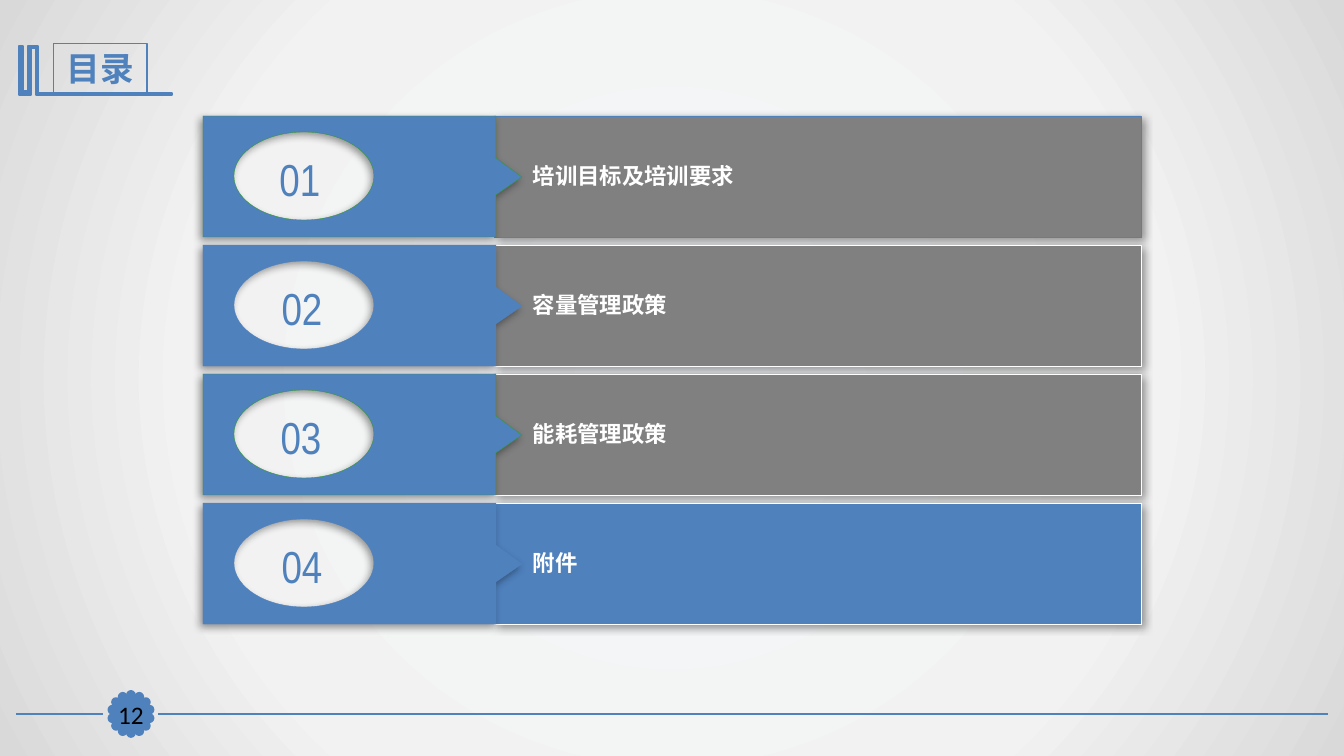
from math import cos, sin, pi

from lxml import etree
from pptx import Presentation
from pptx.dml.color import RGBColor
from pptx.enum.shapes import MSO_CONNECTOR as Conn, MSO_SHAPE as Kind
from pptx.enum.text import MSO_ANCHOR as Anchor, MSO_AUTO_SIZE as Fit, PP_ALIGN as Align
from pptx.oxml import parse_xml
from pptx.oxml.ns import qn
from pptx.util import Emu, Pt

SCALE = 914400 / 100.8
NS = 'xmlns:a="http://schemas.openxmlformats.org/drawingml/2006/main"'
BLUE, GRAY, WHITE, GREEN = "4F81BD", "808080", "FFFFFF", "339933"
TOPICS = [
    ("培训目标及培训要求", GRAY, BLUE, GREEN, 300),
    ("容量管理政策", GRAY, WHITE, BLUE, 302),
    ("能耗管理政策", GRAY, WHITE, GREEN, 301),
    ("附件", BLUE, WHITE, BLUE, 302),
]


def px(*vals):
    return [Emu(round(v * SCALE)) for v in vals]


def rgb(code):
    return RGBColor.from_string(code)


def paint(shape, fill, line, width):
    shape.shadow.inherit = False
    if fill:
        shape.fill.solid()
        shape.fill.fore_color.rgb = rgb(fill)
    else:
        shape.fill.background()
    shape.line.color.rgb = rgb(line)
    shape.line.width = Pt(width)


def shade(shape, angle):
    effects = shape.element.spPr.find(qn("a:effectLst"))
    effects.append(parse_xml(
        f'<a:outerShdw {NS} blurRad="{Pt(6)}" dist="{Pt(3)}" dir="{angle * 60000}" '
        'algn="tl" rotWithShape="0"><a:srgbClr val="000000"><a:alpha val="40000"/>'
        '</a:srgbClr></a:outerShdw>'))


def write(shape, text, font, size, color, bold=False, align=Align.CENTER, anchor=Anchor.MIDDLE):
    frame = shape.text_frame
    frame.word_wrap = True
    frame.auto_size = Fit.NONE
    frame.vertical_anchor = anchor
    para = frame.paragraphs[0]
    para.alignment = align
    run = para.add_run()
    run.text = text
    run.font.name = font
    run.font.size = Pt(size)
    run.font.bold = bold
    run.font.color.rgb = rgb(color)


def outline(shapes, x, y, points):
    dots = [((x + a) * 10, (y + b) * 10) for a, b in points]
    pen = shapes.build_freeform(*dots[0], scale=SCALE / 10)
    pen.add_line_segments(dots[1:])
    return pen.convert_to_shape()


def punch(shape, x, y, wide, high):
    track = shape.element.find(".//" + qn("a:path"))

    def step(kind, *spots):
        node = etree.SubElement(track, qn("a:" + kind))
        for a, b in spots:
            etree.SubElement(node, qn("a:pt"), x=str(round((x + a * wide) * 10)),
                             y=str(round((y + b * high) * 10)))

    bend = 0.55
    step("moveTo", (0, -1))
    for a, b in ((0, -1), (-1, 0), (0, 1), (1, 0)):
        c, d = b, -a
        step("cubicBezTo", (a + bend * c, b + bend * d), (c + bend * a, d + bend * b), (c, d))
    etree.SubElement(track, qn("a:close"))


def backdrop(slide):
    slide.background.fill.gradient()
    grad = slide.element.find(".//" + qn("a:gradFill"))
    for child in list(grad):
        grad.remove(child)
    stops = etree.SubElement(grad, qn("a:gsLst"))
    for pos, code in ((0, "F6F9FC"), (63, "F2F2F2"), (100, "D9D9D9")):
        stop = etree.SubElement(stops, qn("a:gs"), pos=str(pos * 1000))
        etree.SubElement(stop, qn("a:srgbClr"), val=code)
    focus = etree.SubElement(grad, qn("a:path"), path="circle")
    etree.SubElement(focus, qn("a:fillToRect"), l="50000", t="50000", r="50000", b="50000")


def header(slide, x, y):
    points = [(18, 0), (19, 0), (19, 47), (153, 47), (153, 49), (17, 49), (17, 2), (12, 2),
              (12, 49), (0, 49), (0, 0), (4, 0), (4, 45), (9, 45), (9, 0)]
    mark = outline(slide.shapes, x, y, points)
    paint(mark, BLUE, BLUE, 2)
    title = slide.shapes.title
    title.left, title.top, title.width, title.height = px(x + 34, y - 3, 94, 51)
    paint(title, None, BLUE, 0.75)
    write(title, "目录", "Arial Narrow", 24, BLUE, True)


def footer(slide, x, y, width):
    shapes = slide.shapes
    mid = x + 115
    for start, end in ((x, mid - 28), (mid + 27, x + width)):
        rule = shapes.add_connector(Conn.STRAIGHT, *px(start, y, end, y))
        rule.line.color.rgb = rgb(BLUE)
        rule.line.width = Pt(1.25)
        etree.SubElement(rule.element.spPr, qn("a:effectLst"))
    for i in range(14):
        turn = 2 * pi * i / 14
        a, b = mid + 19 * sin(turn), y - 19 * cos(turn)
        dot = shapes.add_shape(Kind.OVAL, *px(a - 3.5, b - 3.5, 7, 7))
        paint(dot, BLUE, BLUE, 2)
    badge = shapes.add_shape(Kind.RECTANGLE, *px(mid - 16, y - 15, 32, 31))
    paint(badge, BLUE, BLUE, 0.75)
    frame = badge.text_frame
    frame.margin_left = frame.margin_right = frame.margin_top = frame.margin_bottom = 0
    write(badge, "12", "Calibri", 18, "000000")


def entry(slide, x, y, width, height, num, topic):
    text, fill, edge, trim, mid = topic
    shapes = slide.shapes
    bar = shapes.add_shape(Kind.RECTANGLE, *px(x + 291, y, width - 291, height))
    paint(bar, fill, edge, 0.25)
    shade(bar, 45)
    tag = [(0, 0), (293, 0), (293, 42), (319, 61), (293, 79), (293, height), (0, height)]
    label = outline(shapes, x, y, tag)
    punch(label, 101, 60, 70, 44)
    paint(label, BLUE, trim, 0.25)
    shade(label, 135)
    digits = shapes.add_textbox(*px(mid - 56, y + 19, 112, 88))
    write(digits, f"{num:02d}", "Arial Narrow", 32, BLUE)
    words = shapes.add_textbox(*px(x + 320, y + 41, width - 320, 50))
    write(words, text, "Calibri", 16, WHITE, True, Align.LEFT, Anchor.TOP)


def agenda(slide, x, y, width, height):
    gap = 8
    tall = (height - gap * (len(TOPICS) - 1)) // len(TOPICS)
    for i, topic in enumerate(TOPICS):
        entry(slide, x, y + i * (tall + gap), width, tall, i + 1, topic)


def main():
    deck = Presentation()
    deck.slide_width, deck.slide_height = px(1344, 756)
    slide = deck.slides.add_slide(deck.slide_layouts[5])
    backdrop(slide)
    footer(slide, 16, 714, 1312)
    header(slide, 19, 46)
    agenda(slide, 203, 116, 938, 508)
    deck.save("out.pptx")


if __name__ == "__main__":
    main()
